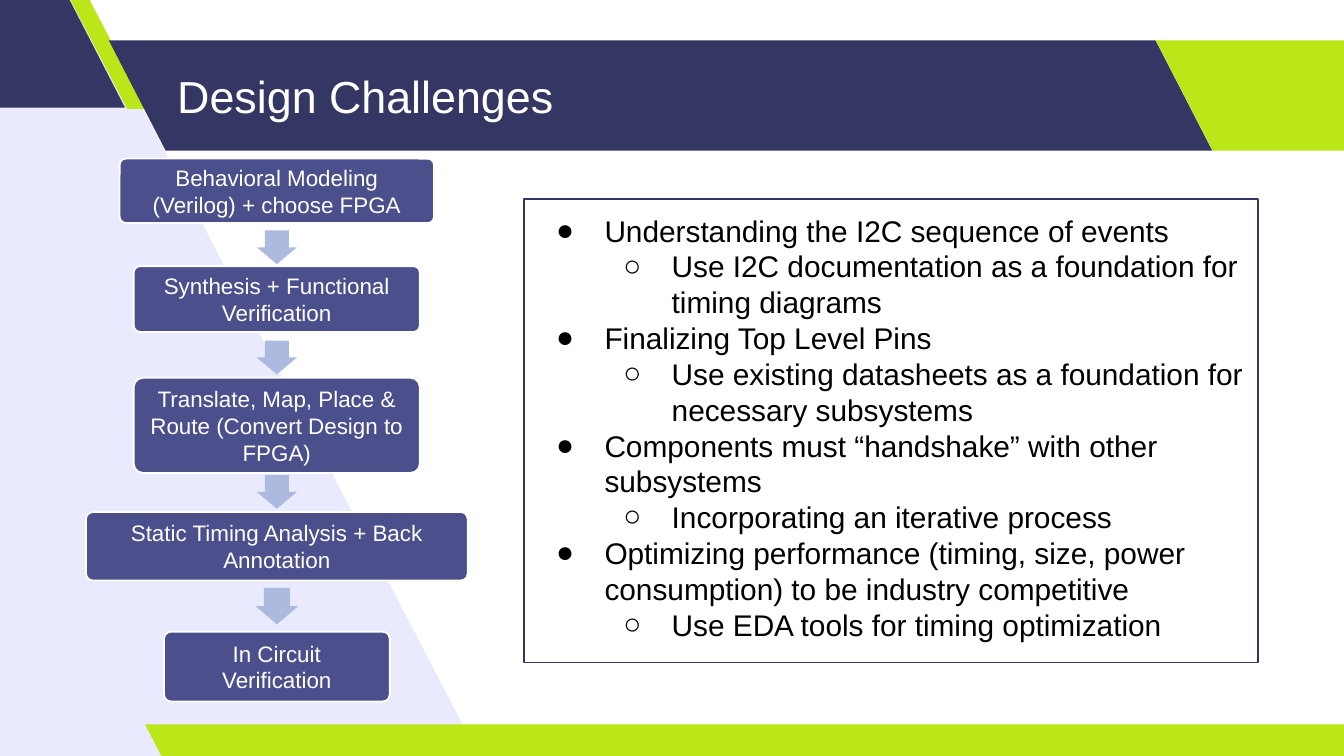
import pptx
import pptx.util
import pptx.dml.color
import pptx.enum.shapes
import pptx.enum.text
import pptx.oxml.ns
import lxml.etree

WIDE = pptx.util.Inches(10)
HIGH = WIDE * 9 // 16
UNIT = WIDE / 100
FONT = "Arial"
HUES = {
    "navy": "343764",
    "lime": "BBE617",
    "pale": "E9EAFD",
    "step": "4B508D",
    "arrow": "ABBADE",
    "white": "FFFFFF",
    "black": "000000",
}
KIND = pptx.enum.shapes.MSO_SHAPE
ALIGN = pptx.enum.text.PP_ALIGN
MID = pptx.enum.text.MSO_ANCHOR.MIDDLE

BANDS = [
    (-9.9, -0.2, 19.2, 8.2, 0.515, "navy"),
    (5.2, -0.1, 5.7, 8.2, 0.75, "lime"),
    (8.1, 3, 82.1, 8.2, 0.515, "navy"),
    (86, 3, 19.2, 8.2, 0.515, "lime"),
    (10.8, 53.9, 91.5, 2.5, 0.515, "lime"),
]
STEPS = [
    ("Behavioral Modeling (Verilog) + choose FPGA", 0, 23.4, 4.8),
    ("Synthesis + Functional Verification", 8, 21.3, 4.9),
    ("Translate, Map, Place & Route (Convert Design to FPGA)", 16.3, 21.3, 7.1),
    ("Static Timing Analysis + Back Annotation", 26.3, 28.4, 5.1),
    ("In Circuit Verification", 35.2, 16.8, 5.2),
]
ARROWS = [(6.6, 2.5, 3), (14.8, 2.5, 3), (24.8, 2.5, 3), (33.3, 2.7, 3.2)]
POINTS = [
    ("Understanding the I2C sequence of events",
     "Use I2C documentation as a foundation for timing diagrams"),
    ("Finalizing Top Level Pins",
     "Use existing datasheets as a foundation for necessary subsystems"),
    ("Components must “handshake” with other subsystems",
     "Incorporating an iterative process"),
    ("Optimizing performance (timing, size, power consumption) to be industry competitive",
     "Use EDA tools for timing optimization"),
]


def grid(*cells):
    return [round(cell * UNIT) for cell in cells]


def tint(name):
    return pptx.dml.color.RGBColor.from_string(HUES[name])


def paint(shape, fill=None, line=None, weight=1):
    shape.shadow.inherit = False
    if fill:
        shape.fill.solid()
        shape.fill.fore_color.rgb = tint(fill)
    else:
        shape.fill.background()
    if line:
        shape.line.color.rgb = tint(line)
        shape.line.width = pptx.util.Pt(weight)
    else:
        shape.line.fill.background()


def frame(shape, inset):
    text = shape.text_frame
    text.word_wrap = True
    text.margin_left = text.margin_right = grid(inset)[0]
    text.margin_top = text.margin_bottom = grid(inset)[0]
    return text


def write(para, words, size, hue):
    run = para.add_run()
    run.text = words
    run.font.name = FONT
    run.font.size = pptx.util.Pt(size)
    run.font.color.rgb = tint(hue)


def mark(para, sign, indent):
    props = para._p.get_or_add_pPr()
    left, hang = grid(indent, -3.6)
    props.set("marL", str(left))
    props.set("indent", str(hang))
    name = pptx.oxml.ns.qn
    color = lxml.etree.SubElement(props, name("a:buClr"))
    lxml.etree.SubElement(color, name("a:srgbClr"), val=HUES["black"])
    lxml.etree.SubElement(props, name("a:buFont"), typeface=FONT)
    lxml.etree.SubElement(props, name("a:buChar"), char=sign)


def draw_back(slide, box):
    x, y, wide, high = box
    pen = slide.shapes.build_freeform(*grid(x + wide, y + high - 0.4))
    pen.add_line_segments([grid(x + 6.8, y), grid(x, y), grid(x + 0.4, y + high)], close=True)
    paint(pen.convert_to_shape(), "pale")
    for left, top, span, tall, slant, hue in BANDS:
        band = slide.shapes.add_shape(KIND.PARALLELOGRAM, *grid(left, top, span, tall))
        band.adjustments[0] = slant
        band._element.spPr.get_or_add_xfrm().set("flipH", "1")
        paint(band, hue)


def draw_title(slide, box):
    text = frame(slide.shapes.add_textbox(*grid(*box)), 1)
    text.vertical_anchor = MID
    write(text.paragraphs[0], "Design Challenges", 24, "white")


def draw_flow(slide, box):
    x, y, wide, high = box
    mid = x + wide / 2
    for top, length, girth in ARROWS:
        arrow = slide.shapes.add_shape(
            KIND.RIGHT_ARROW, *grid(mid - length / 2, y + top - girth / 2, length, girth))
        arrow.rotation = 90
        arrow.adjustments[0], arrow.adjustments[1] = 0.6, 0.5
        paint(arrow, "arrow")
    for words, top, span, tall in STEPS:
        step = slide.shapes.add_shape(
            KIND.ROUNDED_RECTANGLE, *grid(mid - span / 2, y + top, span, tall))
        step.adjustments[0] = 0.1
        paint(step, "step", "white")
        text = frame(step, 0.7)
        text.vertical_anchor = MID
        para = text.paragraphs[0]
        para.alignment = ALIGN.CENTER
        write(para, words, 12, "white")


def draw_list(slide, box):
    panel = slide.shapes.add_shape(KIND.RECTANGLE, *grid(*box))
    paint(panel, None, "navy", 0.75)
    text = frame(panel, 1)
    text.vertical_anchor = pptx.enum.text.MSO_ANCHOR.TOP
    para = text.paragraphs[0]
    for pair in POINTS:
        for level, words in enumerate(pair):
            if para is None:
                para = text.add_paragraph()
            para.level = level
            para.alignment = ALIGN.LEFT
            mark(para, "●○"[level], 5 * (level + 1))
            write(para, words, 16, "black")
            para = None


def main():
    deck = pptx.Presentation()
    deck.slide_width, deck.slide_height = WIDE, HIGH
    slide = deck.slides.add_slide(deck.slide_layouts[6])
    draw_back(slide, (-0.6, -0.4, 36.2, 57))
    draw_title(slide, (12.2, 3, 73.5, 8.2))
    draw_flow(slide, (5.9, 11.8, 29.4, 40.4))
    draw_list(slide, (39, 14.8, 54.6, 34.5))
    deck.save("out.pptx")


if __name__ == "__main__":
    main()
